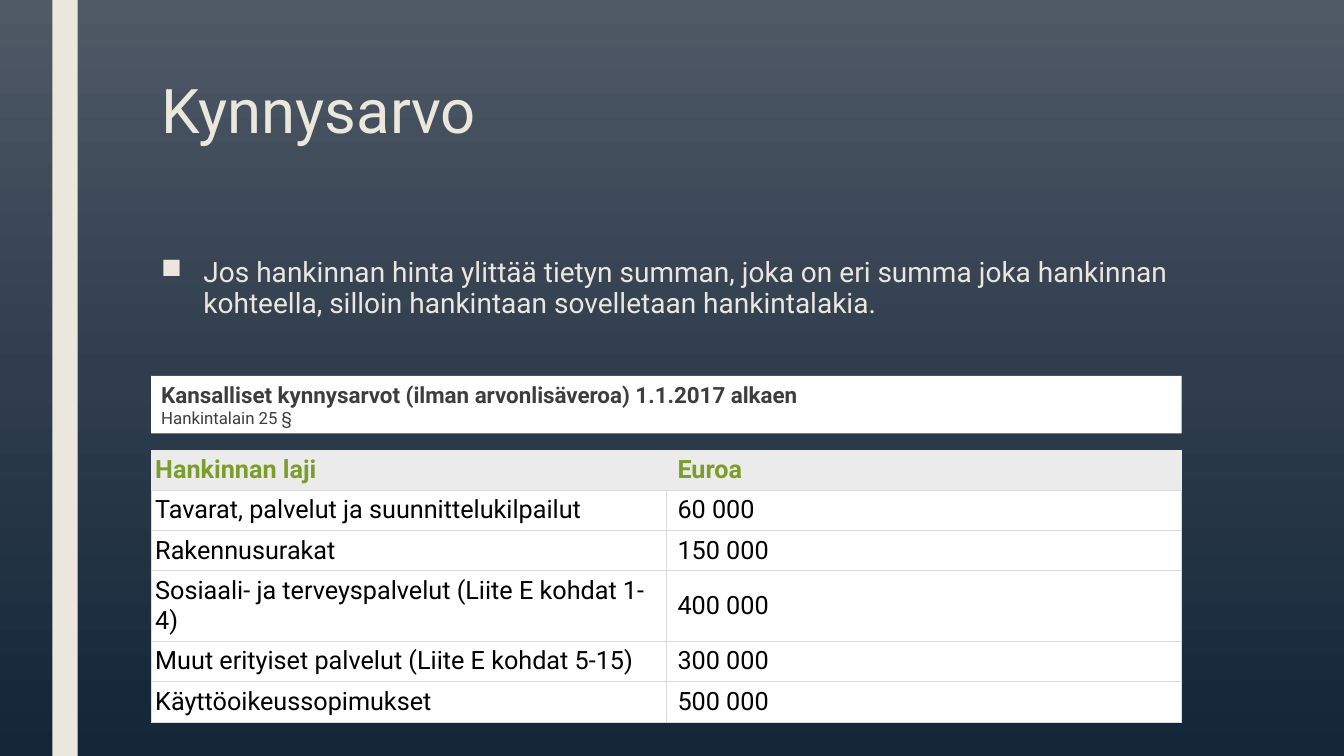
import copy
import pptx
import pptx.util
import pptx.oxml
import pptx.oxml.ns
from pptx.dml.color import RGBColor
from pptx.enum.shapes import MSO_SHAPE
from pptx.enum.text import MSO_ANCHOR, PP_ALIGN
from pptx.util import Inches, Pt

TITLE = "Kynnysarvo"
BODY = ("Jos hankinnan hinta ylittää tietyn summan, joka on eri summa joka "
        "hankinnan kohteella, silloin hankintaan sovelletaan hankintalakia.")
BANNER = [
    ("Kansalliset kynnysarvot (ilman arvonlisäveroa) 1.1.2017 alkaen", 16, True),
    ("Hankintalain 25 §", 12, False),
]
ROWS = [
    ("Hankinnan laji", "Euroa"),
    ("Tavarat, palvelut ja suunnittelukilpailut", "60 000"),
    ("Rakennusurakat", "150 000"),
    ("Sosiaali- ja terveyspalvelut (Liite E kohdat 1-4)", "400 000"),
    ("Muut erityiset palvelut (Liite E kohdat 5-15)", "300 000"),
    ("Käyttöoikeussopimukset", "500 000"),
]

FONT = "Roboto"
CREAM = RGBColor(0xEB, 0xE7, 0xDD)
WHITE = RGBColor(0xFF, 0xFF, 0xFF)
BLACK = RGBColor(0, 0, 0)
GREEN = RGBColor(0x7B, 0x9D, 0x29)
PALE = RGBColor(0xEB, 0xEB, 0xEB)
DARK = RGBColor(0x3D, 0x3D, 0x3D)
RULE = RGBColor(0xDA, 0xDA, 0xDA)
SKY = [
    (0, RGBColor(0x50, 0x59, 0x66)),
    (0.5, RGBColor(0x2F, 0x3D, 0x4E)),
    (1, RGBColor(0x12, 0x26, 0x37)),
]

LEFT = 1.5
WIDE = 10.22
ROW = 0.38
INSETS = (0.04, 0.11)  # left inset of each table column


def style(par, size, color, bold=False):
    par.font.name = FONT
    par.font.size = Pt(size)
    par.font.color.rgb = color
    par.font.bold = bold


def paint(slide):
    """Fill the background with the top-to-bottom gradient."""
    fill = slide.background.fill
    fill.gradient()
    fill.gradient_angle = 270
    stops = slide.element.find(".//" + pptx.oxml.ns.qn("a:gsLst"))
    stops.append(copy.deepcopy(stops[-1]))
    for stop, (place, color) in zip(fill.gradient_stops, SKY):
        stop.position = place
        stop.color.rgb = color


def add_box(slide, left, top, width, height, color):
    box = slide.shapes.add_shape(
        MSO_SHAPE.RECTANGLE,
        Inches(left), Inches(top), Inches(width), Inches(height))
    box.shadow.inherit = False
    box.fill.solid()
    box.fill.fore_color.rgb = color
    box.line.fill.background()
    return box


def add_text(slide, top, height, text, size, space):
    box = slide.shapes.add_textbox(
        Inches(LEFT), Inches(top), Inches(10.5), Inches(height))
    box.text_frame.word_wrap = True
    par = box.text_frame.paragraphs[0]
    par.text = text
    par.line_spacing = space
    style(par, size, CREAM)
    return par


def add_bullet(par, indent):
    props = par._p.get_or_add_pPr()
    props.set("marL", str(Inches(indent)))
    props.set("indent", str(-Inches(indent)))
    props.append(pptx.oxml.parse_xml(
        f'<a:buChar {pptx.oxml.ns.nsdecls("a")} char="■"/>'))


def set_border(cell, drawn):
    """Rule the sides named in drawn (letters of LRTB) and clear the rest."""
    props = cell._tc.get_or_add_tcPr()
    for spot, side in enumerate("LRTB"):
        ink = (f'<a:solidFill><a:srgbClr val="{RULE}"/></a:solidFill>'
               if side in drawn else "<a:noFill/>")
        props.insert(spot, pptx.oxml.parse_xml(
            f'<a:ln{side} {pptx.oxml.ns.nsdecls("a")} w="{Pt(0.6)}">'
            f'{ink}</a:ln{side}>'))


def add_grid(slide):
    frame = slide.shapes.add_table(
        len(ROWS), 2, Inches(LEFT), Inches(4.46),
        Inches(WIDE), Inches(ROW * len(ROWS)))
    table = frame.table
    table.first_row = table.horz_banding = False
    for r, row in enumerate(ROWS):
        head = r == 0
        for c, text in enumerate(row):
            cell = table.cell(r, c)
            cell.text = text
            cell.vertical_anchor = MSO_ANCHOR.MIDDLE
            cell.margin_left = Inches(INSETS[c])
            cell.margin_right = Inches(0.04)
            cell.fill.solid()
            cell.fill.fore_color.rgb = PALE if head else WHITE
            style(cell.text_frame.paragraphs[0], 18,
                  GREEN if head else BLACK, head)
            set_border(cell, "B" if head else "LRTB")


def add_banner(slide):
    box = add_box(slide, LEFT, 3.73, WIDE, 0.57, WHITE)
    frame = box.text_frame
    frame.word_wrap = True
    frame.vertical_anchor = MSO_ANCHOR.MIDDLE
    for i, (text, size, bold) in enumerate(BANNER):
        par = frame.add_paragraph() if i else frame.paragraphs[0]
        par.text = text
        par.alignment = PP_ALIGN.LEFT
        style(par, size, DARK, bold)


def main():
    deck = pptx.Presentation()
    deck.slide_width = Inches(13.33)
    deck.slide_height = Inches(7.5)
    slide = deck.slides.add_slide(deck.slide_layouts[6])
    paint(slide)
    add_box(slide, 0.52, 0, 0.25, 7.5, CREAM)
    add_text(slide, 0.75, 1.62, TITLE, 44, 0.89)
    body = add_text(slide, 2.5, 3.92, BODY, 20, 0.94)
    body.space_before = Pt(10)
    body.space_after = Pt(2)
    add_bullet(body, 0.42)
    add_grid(slide)
    add_banner(slide)
    deck.save("out.pptx")


if __name__ == "__main__":
    main()
